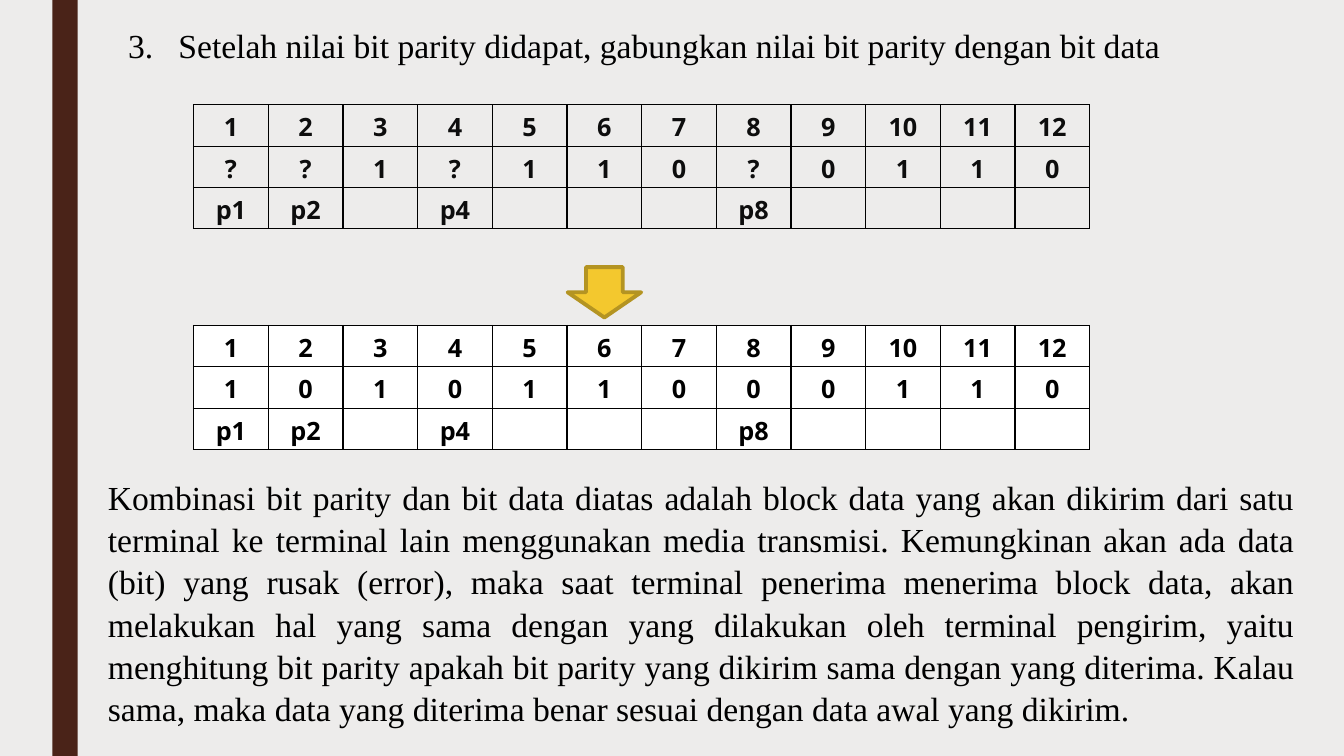
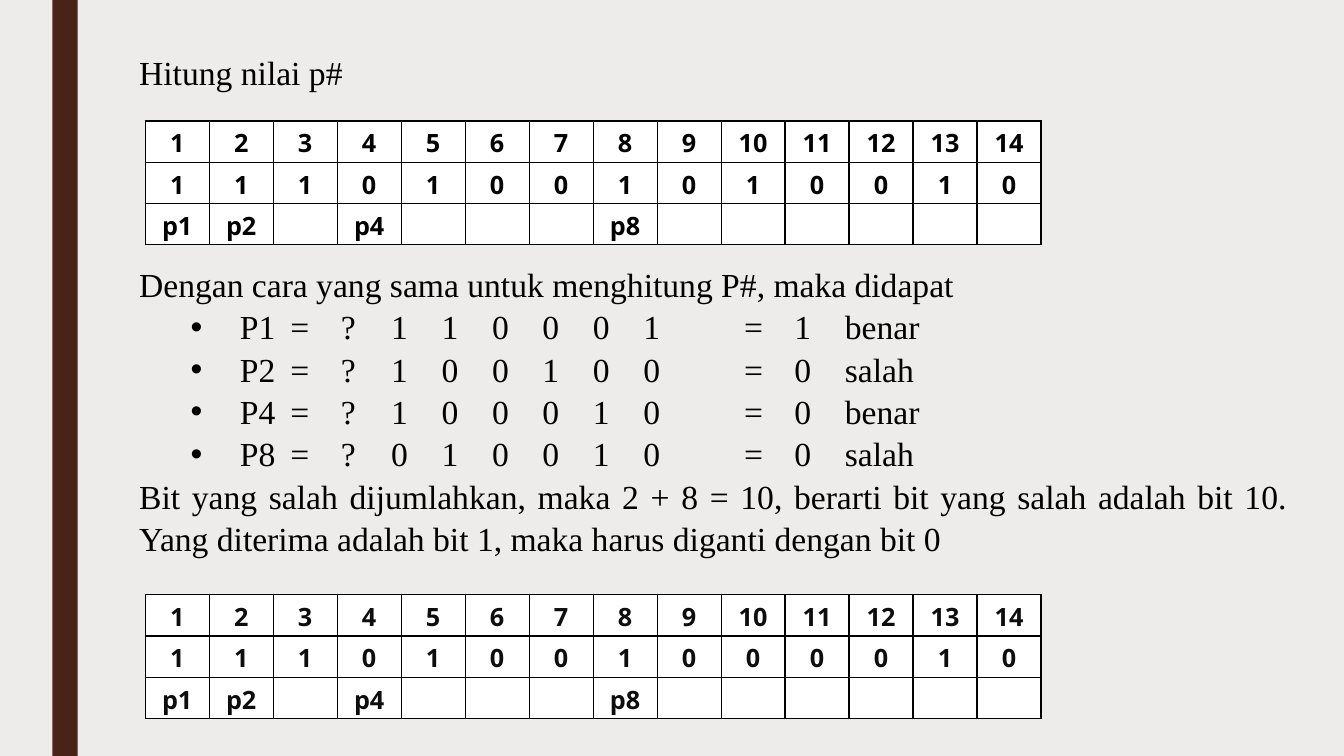
from pptx import Presentation
from pptx import util as u
from pptx.dml.color import RGBColor
from pptx.enum import shapes, text
from pptx.oxml import xmlchemy
from pptx.util import Inches

BACKGROUND = RGBColor(0xED, 0xEC, 0xEB)
BAND = RGBColor(0x4A, 0x23, 0x18)
BLACK = RGBColor(0, 0, 0)
NEAR_BLACK = RGBColor(0x0D, 0x0D, 0x0D)
WHITE = RGBColor(0xFF, 0xFF, 0xFF)
GOLD = RGBColor(0xF3, 0xC8, 0x2E)
DARK_GOLD = RGBColor(0xB4, 0x94, 0x22)

TEXT_FONT = "Times New Roman"
TABLE_FONT = "Open Sans"
TABLE_WIDTH = 8.89
ROW_HEIGHT = 0.41
TAB_STEP = 0.5
PARITY_POSITIONS = (1, 2, 4, 8)


def add_child(parent, tag, **attributes):
    """Append a drawing element with the given attributes and return it."""
    child = xmlchemy.OxmlElement(tag)
    for name, value in attributes.items():
        child.set(name, str(value))
    parent.append(child)
    return child


class Deck:
    """Holds the shared style and the current slide."""

    def __init__(self):
        """Set the slide size and the look of the slide master."""
        self.presentation = Presentation()
        self.presentation.slide_width = Inches(13.33)
        self.presentation.slide_height = Inches(7.5)
        self.slide = None
        fill = self.presentation.slide_master.background.fill
        fill.solid()
        fill.fore_color.rgb = BACKGROUND

    def new_slide(self):
        """Start a slide with a title and a body placeholder."""
        layout = self.presentation.slide_layouts[1]
        self.slide = self.presentation.slides.add_slide(layout)

    def shape(self, kind, left, top, width, height, color):
        """Add a filled preset shape without outline or shadow."""
        shape = self.slide.shapes.add_shape(
            kind, Inches(left), Inches(top), Inches(width), Inches(height))
        shape.shadow.inherit = False
        shape.fill.solid()
        shape.fill.fore_color.rgb = color
        shape.line.fill.background()
        return shape

    def master_band(self):
        """Put the vertical band on the slide master, behind everything."""
        band = self.shape(shapes.MSO_SHAPE.RECTANGLE, 0.52, 0, 0.25, 7.5, BAND)
        self.presentation.slide_master.shapes.element.insert(2, band.element)

    def arrow(self, left, top, width, height):
        """Add an outlined down arrow."""
        arrow = self.shape(
            shapes.MSO_SHAPE.DOWN_ARROW, left, top, width, height, GOLD)
        arrow.line.color.rgb = DARK_GOLD
        arrow.line.width = u.Pt(2.75)

    def fill_placeholder(self, index, left, top, width, height, lines):
        """Move a placeholder and write plain justified paragraphs in it."""
        holder = self.slide.placeholders[index]
        holder.left, holder.top = Inches(left), Inches(top)
        holder.width, holder.height = Inches(width), Inches(height)
        frame = holder.text_frame
        frame.text = "\n".join(lines)
        frame.word_wrap = True
        frame.auto_size = text.MSO_AUTO_SIZE.NONE
        frame.vertical_anchor = text.MSO_ANCHOR.TOP
        for paragraph in frame.paragraphs:
            paragraph.alignment = text.PP_ALIGN.JUSTIFY
            paragraph.line_spacing = 1.05
            paragraph.space_before = u.Pt(0)
            self.format_runs(paragraph, TEXT_FONT, 24, BLACK)
            self.mark(paragraph, 0, 0, "a:buNone")
        return frame.paragraphs

    def title(self, left, top, width, line):
        """Write the title line and return its paragraph."""
        return self.fill_placeholder(0, left, top, width, 0.5, [line])[0]

    def body(self, left, top, width, height, lines):
        """Write the body text and return its paragraphs."""
        return self.fill_placeholder(1, left, top, width, height, lines)

    def format_runs(self, paragraph, font, size, color, bold=False):
        """Give every run of a paragraph the same font."""
        for run in paragraph.runs:
            run.font.name = font
            run.font.size = u.Pt(size)
            run.font.color.rgb = color
            run.font.bold = bold

    def mark(self, paragraph, margin, indent, tag, **attributes):
        """Set the indents and the bullet or number of a paragraph."""
        properties = paragraph._p.get_or_add_pPr()
        properties.set("marL", str(Inches(margin)))
        properties.set("indent", str(Inches(indent)))
        for old in properties.findall(xmlchemy.qn("a:buNone")):
            properties.remove(old)
        if tag == "a:buChar":
            add_child(properties, "a:buFont", typeface="Arial")
        add_child(properties, tag, **attributes)

    def tab_stops(self, paragraph, count):
        """Add evenly spaced left tab stops."""
        stops = add_child(paragraph._p.get_or_add_pPr(), "a:tabLst")
        for number in range(1, count + 1):
            add_child(stops, "a:tab", pos=Inches(number * TAB_STEP), algn="l")

    def bit_table(self, left, top, bits, color=BLACK, fill=WHITE):
        """Add a table of bit positions, bit values and parity labels."""
        positions = range(1, len(bits) + 1)
        labels = [f"p{n}" if n in PARITY_POSITIONS else "" for n in positions]
        rows = [[str(n) for n in positions], bits, labels]
        table = self.slide.shapes.add_table(
            len(rows), len(bits), Inches(left), Inches(top),
            Inches(TABLE_WIDTH), Inches(ROW_HEIGHT * len(rows))).table
        table.first_row = table.horz_banding = False
        for column in table.columns:
            column.width = Inches(TABLE_WIDTH / len(bits))
        for row_index, values in enumerate(rows):
            for column_index, value in enumerate(values):
                self.cell(table.cell(row_index, column_index),
                          value, color, fill)

    def cell(self, cell, value, color, fill):
        """Write one table cell with black borders."""
        cell.margin_top, cell.margin_bottom = Inches(0.05), 0
        paragraph = cell.text_frame.paragraphs[0]
        paragraph.text = value
        paragraph.alignment = text.PP_ALIGN.CENTER
        self.format_runs(paragraph, TABLE_FONT, 18, color, bold=True)
        properties = cell._tc.get_or_add_tcPr()
        for side in ("a:lnL", "a:lnR", "a:lnT", "a:lnB"):
            line = add_child(properties, side, w=u.Pt(1))
            solid = add_child(line, "a:solidFill")
            add_child(solid, "a:srgbClr", val=BLACK)
        if fill is None:
            cell.fill.background()
        else:
            cell.fill.solid()
            cell.fill.fore_color.rgb = fill


def combine_slide(deck):
    """Show how parity bits are merged with the data bits."""
    deck.new_slide()
    deck.master_band()
    heading = deck.title(
        1.17, 0.18, 11.76,
        "Setelah nilai bit parity didapat, gabungkan nilai bit parity "
        "dengan bit data")
    deck.mark(heading, 0.5, -0.5, "a:buAutoNum",
              type="arabicPeriod", startAt=3)
    deck.bit_table(1.92, 1.04, "??1?110?0110", NEAR_BLACK, None)
    deck.arrow(5.63, 2.65, 0.73, 0.5)
    deck.bit_table(1.92, 3.23, "101011000110"[:3] + "011000110")
    deck.body(0.97, 4.66, 11.97, 2.52, [
        "Kombinasi bit parity dan bit data diatas adalah block data yang "
        "akan dikirim dari satu terminal ke terminal lain menggunakan media "
        "transmisi. Kemungkinan akan ada data (bit) yang rusak (error), maka "
        "saat terminal penerima menerima block data, akan melakukan hal yang "
        "sama dengan yang dilakukan oleh terminal pengirim, yaitu menghitung "
        "bit parity apakah bit parity yang dikirim sama dengan yang diterima. "
        "Kalau sama, maka data yang diterima benar sesuai dengan data awal "
        "yang dikirim."])


def check_slide(deck):
    """Show how the receiver finds and corrects the wrong bit."""
    checks = [("P1", "?110001", "1", "benar"), ("P2", "?100100", "0", "salah"),
              ("P4", "?100010", "0", "benar"), ("P8", "?010010", "0", "salah")]
    check_lines = ["\t".join([name, "=", *bits, "", "=", result, verdict])
                   for name, bits, result, verdict in checks]
    deck.new_slide()
    deck.title(1.28, 0.44, 11.67, "Hitung nilai p#")
    deck.bit_table(1.44, 1.2, "11101001010010")
    paragraphs = deck.body(1.28, 2.55, 11.59, 2.93, [
        "Dengan cara yang sama untuk menghitung P#, maka didapat",
        *check_lines,
        "Bit yang salah dijumlahkan, maka 2 + 8 = 10, berarti bit yang salah "
        "adalah bit 10. Yang diterima adalah bit 1, maka harus diganti dengan "
        "bit 0"])
    for paragraph in paragraphs[1:-1]:
        deck.mark(paragraph, 1, -0.49, "a:buChar", char="•")
        deck.tab_stops(paragraph, 15)
    deck.bit_table(1.44, 5.9, "11101001000010", NEAR_BLACK)


def main():
    """Build the two slides and save them."""
    deck = Deck()
    combine_slide(deck)
    check_slide(deck)
    deck.presentation.save("out.pptx")


main()
